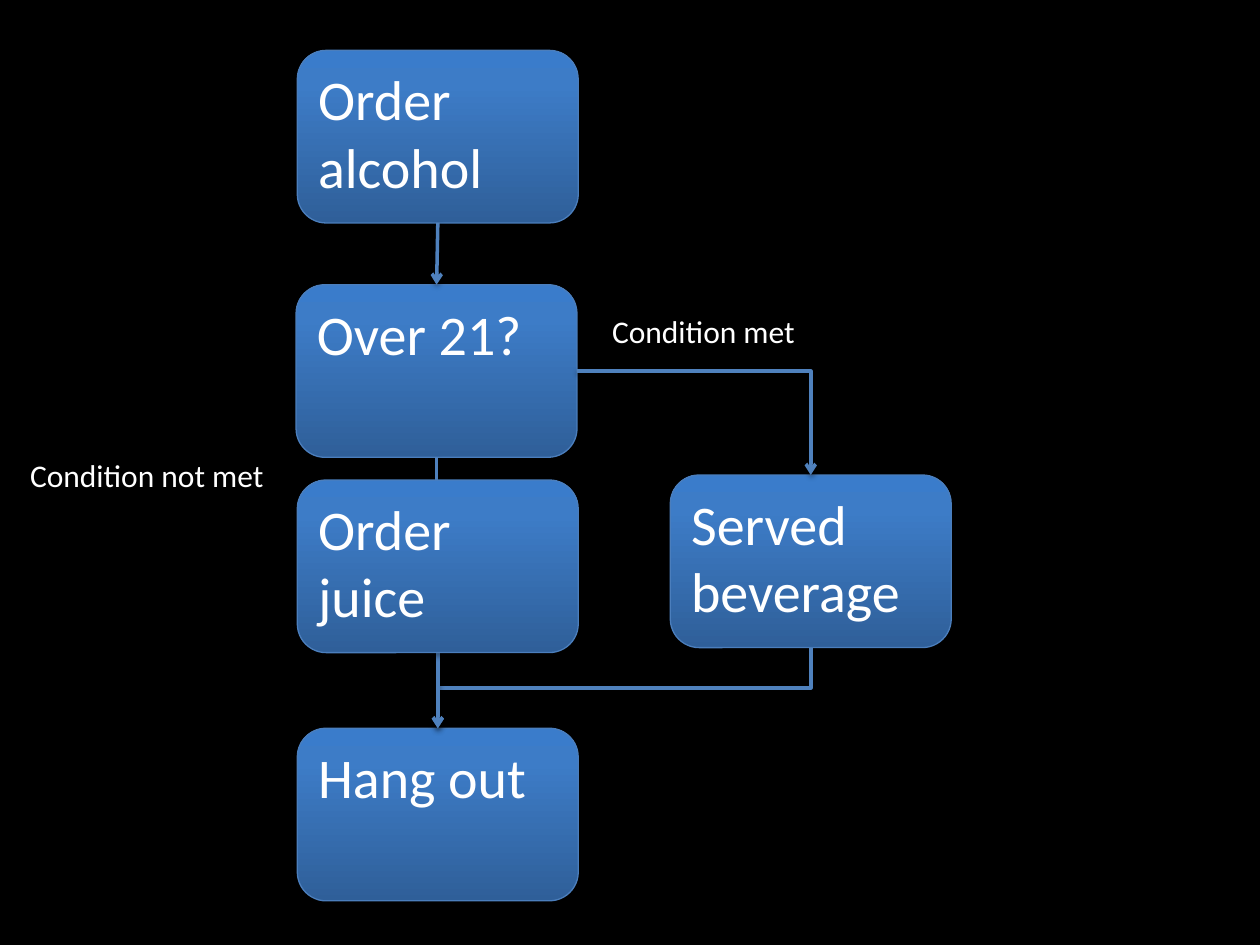
from copy import deepcopy

from lxml import etree
from pptx import Presentation
from pptx import util as u
from pptx.dml.color import RGBColor
from pptx.enum import shapes, text
from pptx.oxml import parse_xml
from pptx.oxml.ns import nsdecls, qn

FONT = "Calibri"
BACKGROUND, TEXT = "000000", "FFFFFF"
BOX_LINE, ARROW = "4B7EBC", "4F81BD"
BOX_GRADIENT = [(0, "2F5F99"), (0.8, "3D7CC7"), (1, "3A7CCB")]
BOX_WIDTH, BOX_HEIGHT = 2.23, 1.37
TOP, BOTTOM, RIGHT = 0, 2, 3  # connection sites


def color(value):
    return RGBColor.from_string(value)


def add_shadow(shape, opacity, distance):
    """Soft black shadow straight below the shape."""
    shape._element.spPr.append(parse_xml(
        f'<a:effectLst {nsdecls("a")}>'
        f'<a:outerShdw blurRad="{u.Pt(3.1)}" dist="{u.Pt(distance)}" dir="5400000" rotWithShape="0">'
        f'<a:srgbClr val="000000"><a:alpha val="{opacity * 1000}"/></a:srgbClr>'
        '</a:outerShdw></a:effectLst>'))


def write(shape, words, size):
    paragraph = shape.text_frame.paragraphs[0]
    paragraph.text = words
    paragraph.alignment = text.PP_ALIGN.LEFT
    font = paragraph.runs[0].font
    font.name, font.size = FONT, u.Pt(size)
    font.color.rgb = color(TEXT)


def add_step(slide, left, top, words):
    """Rounded flowchart box."""
    box = slide.shapes.add_shape(
        shapes.MSO_SHAPE.ROUNDED_RECTANGLE, u.Inches(left), u.Inches(top),
        u.Inches(BOX_WIDTH), u.Inches(BOX_HEIGHT))
    box.fill.gradient()
    box.fill.gradient_angle = 90
    stops = box._element.spPr.find(".//" + qn("a:gsLst"))
    stops.append(deepcopy(stops[0]))
    for stop, (position, value) in zip(box.fill.gradient_stops, BOX_GRADIENT):
        stop.position = position
        stop.color.rgb = color(value)
    box.line.color.rgb = color(BOX_LINE)
    box.line.width = u.Pt(0.75)
    add_shadow(box, 35, 1.8)
    box.text_frame.word_wrap = True
    box.text_frame.vertical_anchor = text.MSO_ANCHOR.TOP
    write(box, words, 32)
    return box


def add_label(slide, left, top, width, words):
    label = slide.shapes.add_textbox(
        u.Inches(left), u.Inches(top), u.Inches(width), u.Inches(0.4))
    label.text_frame.word_wrap = False
    label.text_frame.auto_size = text.MSO_AUTO_SIZE.SHAPE_TO_FIT_TEXT
    write(label, words, 18)


def add_arrow(slide, kind, start, start_site, end, end_site):
    """Arrow glued to a side of each of two boxes."""
    arrow = slide.shapes.add_connector(kind, 0, 0, 0, 0)
    arrow.begin_connect(start, start_site)
    arrow.end_connect(end, end_site)
    arrow.line.color.rgb = color(ARROW)
    arrow.line.width = u.Pt(2)
    line = arrow.line._get_or_add_ln()
    etree.SubElement(line, qn("a:tailEnd"), type="arrow")
    add_shadow(arrow, 38, 1.6)
    return arrow


def add_corner_arrow(slide, start, end):
    """Goes right, then down."""
    arrow = add_arrow(slide, shapes.MSO_CONNECTOR.ELBOW, start, RIGHT, end, TOP)
    arrow._element.spPr.find(qn("a:prstGeom")).set("prst", "bentConnector2")


def add_down_elbow(slide, start, end):
    """Goes down, across and down: an elbow turned by a quarter."""
    arrow = add_arrow(slide, shapes.MSO_CONNECTOR.ELBOW, start, BOTTOM, end, TOP)
    across, down = arrow.end_x - arrow.begin_x, arrow.end_y - arrow.begin_y
    center_x = (arrow.begin_x + arrow.end_x) // 2
    center_y = (arrow.begin_y + arrow.end_y) // 2
    frame = arrow._element.spPr.find(qn("a:xfrm"))
    for flip in ("flipH", "flipV"):
        frame.attrib.pop(flip, None)
    frame.set("rot", "5400000")
    if across > 0:
        frame.set("flipV", "1")
    arrow.width, arrow.height = down, abs(across)
    arrow.left = center_x - down // 2
    arrow.top = center_y - abs(across) // 2


def add_flowchart(slide, left, top):
    # Steps and the branch for a met condition
    order = add_step(slide, left, top, "Order alcohol")
    check = add_step(slide, left - 0.01, top + 1.86, "Over 21?")
    add_label(slide, left + 2.4, top + 2.03, 1.67, "Condition met")
    served = add_step(slide, left + 2.96, top + 3.37, "Served beverage")
    finish = add_step(slide, left, top + 5.38, "Hang out")

    # Arrows; the last step drawn hides part of the straight way down
    add_corner_arrow(slide, check, served)
    add_down_elbow(slide, served, finish)
    add_down_elbow(slide, check, finish)
    add_arrow(slide, shapes.MSO_CONNECTOR.STRAIGHT, order, BOTTOM, check, TOP)

    # Branch for a condition not met
    add_step(slide, left, top + 3.41, "Order juice")
    add_label(slide, left - 2.22, top + 3.17, 2.08, "Condition not met")


def main():
    presentation = Presentation()
    presentation.slide_width = u.Inches(10)
    presentation.slide_height = u.Inches(7.5)
    slide = presentation.slides.add_slide(presentation.slide_layouts[6])
    slide.background.fill.solid()
    slide.background.fill.fore_color.rgb = color(BACKGROUND)
    add_flowchart(slide, 2.36, 0.4)
    presentation.save("out.pptx")


if __name__ == "__main__":
    main()
